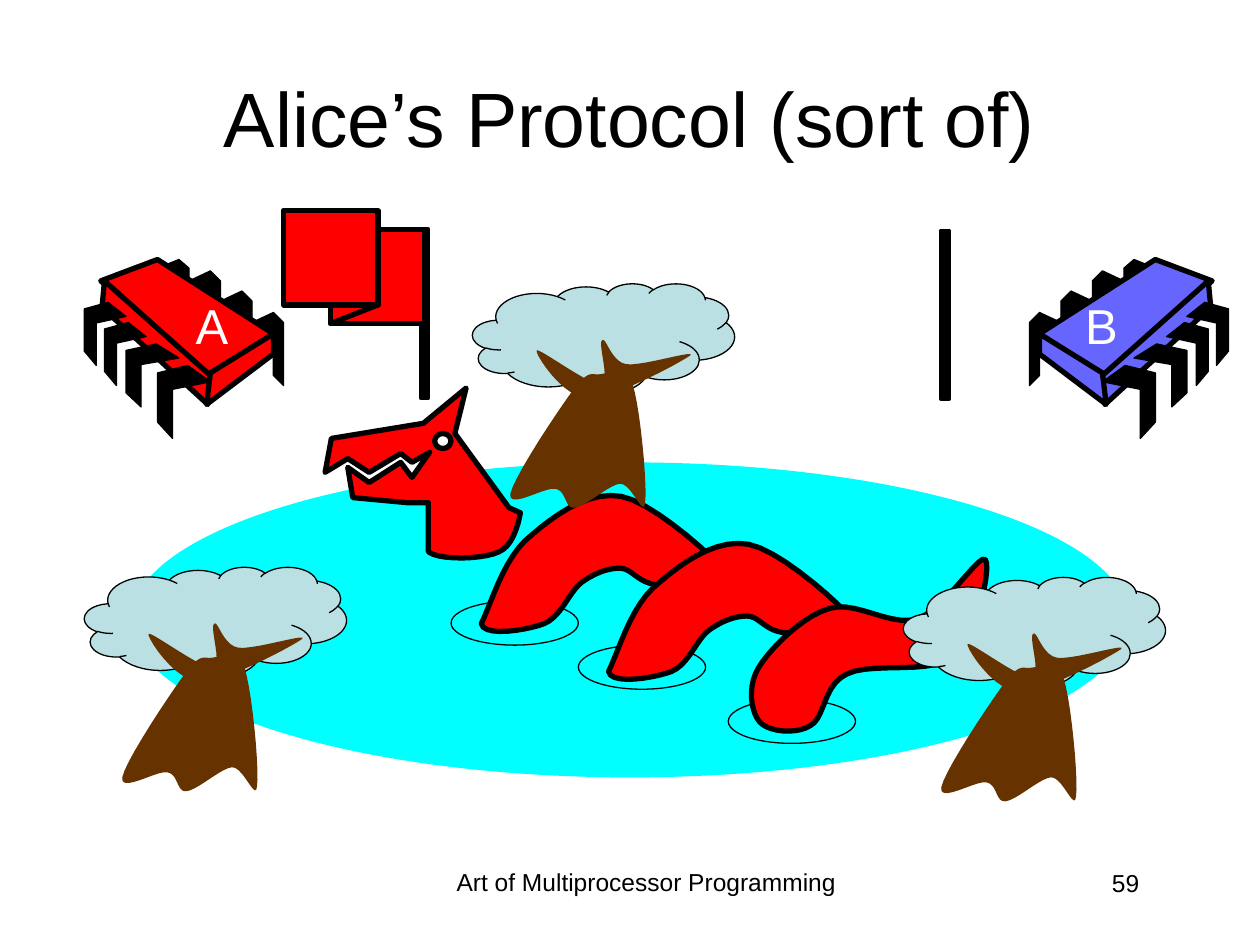
from pptx import Presentation
from pptx.dml.color import RGBColor as Rgb
from pptx.enum.shapes import MSO_CONNECTOR as Conn, MSO_SHAPE as Kind
from pptx.enum.text import MSO_ANCHOR as Anchor, PP_ALIGN as Align
from pptx.oxml.ns import qn
from pptx.util import Pt
from lxml.etree import SubElement as Sub

PX = 9144  # EMU per px, 100 px to the inch
STEPS = 10  # line pieces per curve
HEX = {"ink": "000000", "white": "FFFFFF", "red": "FF0000", "blue": "6666FF",
       "lake": "00FFFF", "cloud": "BBE0E3", "wood": "663300"}

# Outlines: a pair is a corner, six numbers are a cubic curve
BACK_LEG = [(0, 8), (17, 0), (25, 8), (25, 58), (17, 50), (17, 17), (0, 25), (0, 8)]
FRONT_LEG = [(24, 0), (42, 13), (12, 19), (12, 58), (0, 45), (0, 6), (24, 0)]
CHIP_BODY = [
    [(58, 0), (150, 59), (98, 93), (13, 17), (58, 0)],
    [(16, 17), (100, 92), (98, 115), (14, 38), (16, 17)],
    [(150, 59), (150, 75), (97, 115), (100, 90), (150, 59)],
]
HUMP = [(0, 106), (2, 117, 37, 111, 50, 106), (64, 100, 70, 80, 80, 73),
        (90, 66, 100, 62, 110, 62), (119, 62, 124, 73, 138, 75),
        (153, 76, 202, 83, 198, 71), (193, 60, 138, 10, 111, 5),
        (83, 0, 54, 23, 35, 40), (17, 57, 7, 92, 0, 106)]
HEAD = [(146, 95), (103, 36), (112, 0), (78, 28), (5, 40), (0, 67), (18, 56),
        (35, 67), (60, 52), (69, 59), (83, 51), (69, 71), (60, 59), (35, 75),
        (18, 63), (22, 87), (65, 91), (82, 91), (82, 130),
        (91, 137, 126, 136, 138, 130), (150, 125, 154, 105, 155, 99), (146, 95)]
TAIL = [(189, 5), (184, 0, 156, 46, 135, 52), (114, 59, 86, 37, 65, 44),
        (44, 50, 18, 76, 9, 91), (0, 106, 3, 126, 10, 134),
        (17, 142, 39, 144, 50, 137), (62, 131, 60, 105, 79, 96),
        (98, 86, 146, 97, 164, 82), (183, 66, 194, 10, 189, 5)]
TRUNK = [(53, 20), (65, 5, 66, 10, 74, 9), (81, 8, 93, 0, 99, 17),
         (105, 34, 111, 98, 109, 111), (108, 124, 98, 95, 89, 96),
         (80, 97, 62, 114, 53, 115), (45, 116, 47, 102, 38, 100),
         (30, 98, 0, 117, 2, 104), (5, 90, 41, 36, 53, 20)]
BRANCH = [(2, 11), (0, 13, 22, 48, 42, 49), (63, 50, 119, 19, 124, 15),
          (129, 10, 85, 24, 73, 22), (61, 20, 57, 0, 54, 3),
          (50, 5, 61, 36, 53, 38), (44, 39, 4, 9, 2, 11)]


def color(name):
    return Rgb.from_string(HEX[name])


def paint(shape, fill, width):
    shape.shadow.inherit = False
    if fill:
        shape.fill.solid()
        shape.fill.fore_color.rgb = color(fill)
    else:
        shape.fill.background()
    if width:
        shape.line.color.rgb = color("ink")
        shape.line.width = Pt(width)
    else:
        shape.line.fill.background()


def place(slide, kind, x, y, w, h, fill=None, width=0):
    shape = slide.shapes.add_shape(kind, x * PX, y * PX, w * PX, h * PX)
    paint(shape, fill, width)
    return shape


def trace(outline):
    """Turn corners and curves into a run of points."""
    pts = [outline[0]]
    for part in outline[1:]:
        if len(part) == 2:
            pts.append(part)
            continue
        ctrl = [pts[-1], part[:2], part[2:4], part[4:]]
        for i in range(1, STEPS + 1):
            t = i / STEPS
            mix = ((1 - t) ** 3, 3 * t * (1 - t) ** 2, 3 * t * t * (1 - t), t ** 3)
            pts.append(tuple(sum(m * c[k] for m, c in zip(mix, ctrl)) for k in (0, 1)))
    return pts


def draw(slide, x, y, outline, fill, width=0, sx=1, sy=1):
    """Draw an outline from (x, y); a negative sx mirrors it."""
    pts = [((x + sx * px) * PX, (y + sy * py) * PX) for px, py in trace(outline)]
    form = slide.shapes.build_freeform(*pts[0], scale=1.0)
    form.add_line_segments(pts[1:], close=True)
    shape = form.convert_to_shape()
    paint(shape, fill, width)
    if width:
        Sub(shape.line._get_or_add_ln(), qn("a:round"))


def write(slide, x, y, w, h, text, size, align, ink="ink", anchor=Anchor.TOP, wrap=True):
    frame = slide.shapes.add_textbox(x * PX, y * PX, w * PX, h * PX).text_frame
    frame.word_wrap = wrap
    frame.vertical_anchor = anchor
    frame.text = text
    par = frame.paragraphs[0]
    par.alignment = align
    font = par.runs[0].font
    font.name, font.size = "Arial", Pt(size)
    font.color.rgb = color(ink)


def chip(slide, x, y, fill, name, side=1):
    """Chip with its outer edge at x; side -1 mirrors it."""
    for dx, dy, h in ((133, 42, 58), (108, 25, 58), (83, 9, 58), (58, 0, 50)):
        draw(slide, x + side * dx, y + dy, BACK_LEG, "ink", 0.75, side, h / 58)
    for face in CHIP_BODY:
        draw(slide, x, y, face, fill, 3, side)
    for dx, dy, w, h in ((58, 84, 42, 58), (33, 67, 42, 50), (16, 50, 33, 50), (0, 34, 33, 50)):
        draw(slide, x + side * dx, y + dy, FRONT_LEG, "ink", 0.75, side * w / 42, h / 58)
    left = x + 78 if side > 0 else x - 78 - 46
    write(slide, left, y + 24, 46, 57, name, 28, Align.RIGHT, "white", wrap=False)


def dragon(slide, x, y):
    # Ripples, then body from front to tail
    for dx, dy in ((201, 204), (320, 247), (100, 169)):
        place(slide, Kind.OVAL, x + dx, y + dy, 101, 35, None, 0.75)
    for dx, dy in ((124, 81), (225, 119)):
        draw(slide, x + dx, y + dy, HUMP, "red", 3)
    draw(slide, x, y, HEAD, "red", 3)
    place(slide, Kind.OVAL, x + 87, y + 36, 13, 12, "white", 3)
    draw(slide, x + 335, y + 131, TAIL, "red", 3)


def tree(slide, x, y):
    crown = place(slide, Kind.CLOUD_CALLOUT, x, y, 208, 87, "cloud", 0.75)
    crown.adjustments[0], crown.adjustments[1] = 0.018, 0.493
    draw(slide, x + 28, y + 63, TRUNK, "wood")
    draw(slide, x + 49, y + 42, BRANCH, "wood")


def pole(slide, x, y):
    place(slide, Kind.RECTANGLE, x, y, 6, 134, "ink", 2.25)


def flag(slide, x, y):
    pole(slide, x + 109, y + 15)
    place(slide, Kind.RECTANGLE, x + 37, y + 15, 75, 75, "red", 3)
    fold = slide.shapes.add_connector(
        Conn.STRAIGHT, (x + 37) * PX, (y + 90) * PX, (x + 75) * PX, (y + 75) * PX)
    fold.line.color.rgb = color("ink")
    fold.line.width = Pt(3)
    Sub(fold._element.spPr, qn("a:effectLst"))
    place(slide, Kind.RECTANGLE, x, y, 75, 75, "red", 3)


def main():
    deck = Presentation()
    deck.slide_width, deck.slide_height = 1000 * PX, 750 * PX
    slide = deck.slides.add_slide(deck.slide_layouts[6])

    # Title
    write(slide, 50, 30, 900, 125, "Alice’s Protocol (sort of)", 44, Align.CENTER,
          anchor=Anchor.MIDDLE)

    # Scene
    chip(slide, 67, 206, "red", "A")
    chip(slide, 975, 206, "blue", "B", -1)
    place(slide, Kind.OVAL, 104, 367, 792, 250, "lake")
    dragon(slide, 258, 308)
    for x, y in ((375, 225), (717, 458), (67, 450)):
        tree(slide, x, y)
    flag(slide, 225, 167)
    pole(slide, 747, 183)

    # Footer
    write(slide, 342, 683, 342, 52, "Art of Multiprocessor Programming", 14, Align.CENTER)
    write(slide, 706, 684, 208, 50, "59", 14, Align.RIGHT)
    deck.save("out.pptx")


if __name__ == "__main__":
    main()
